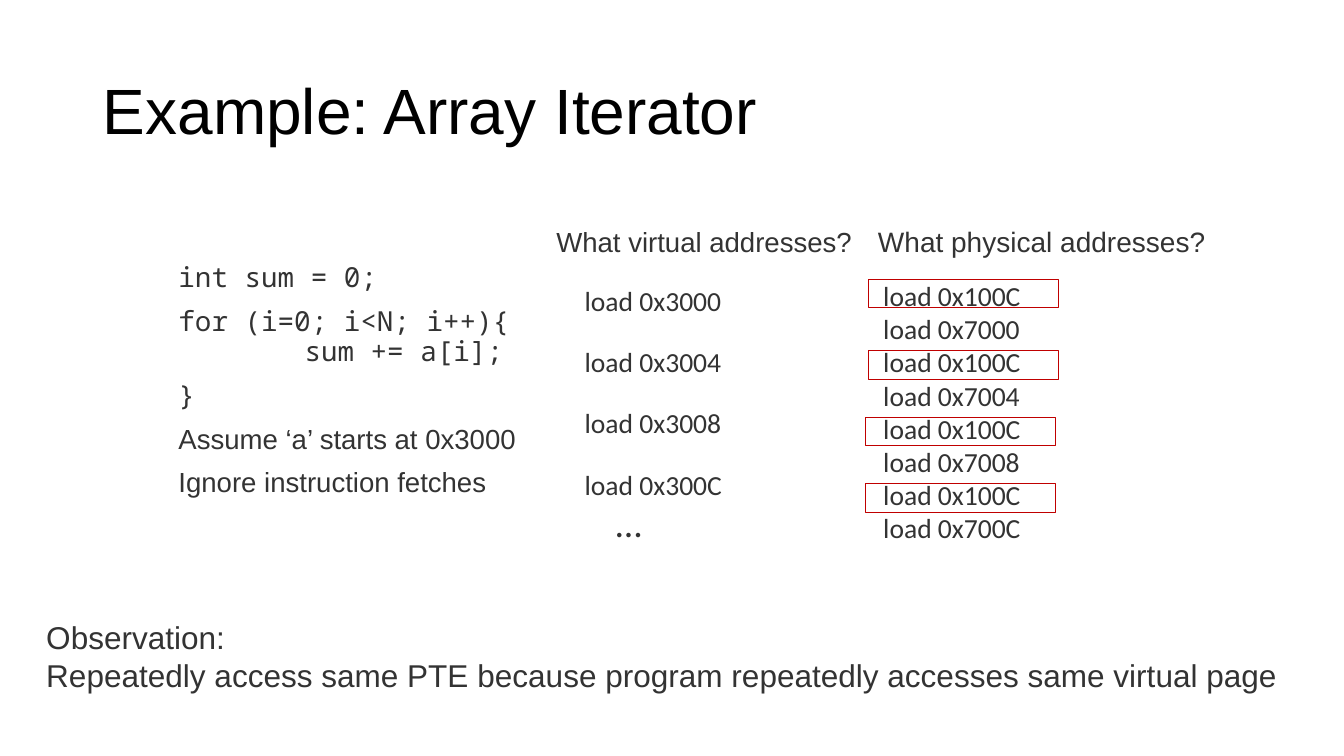
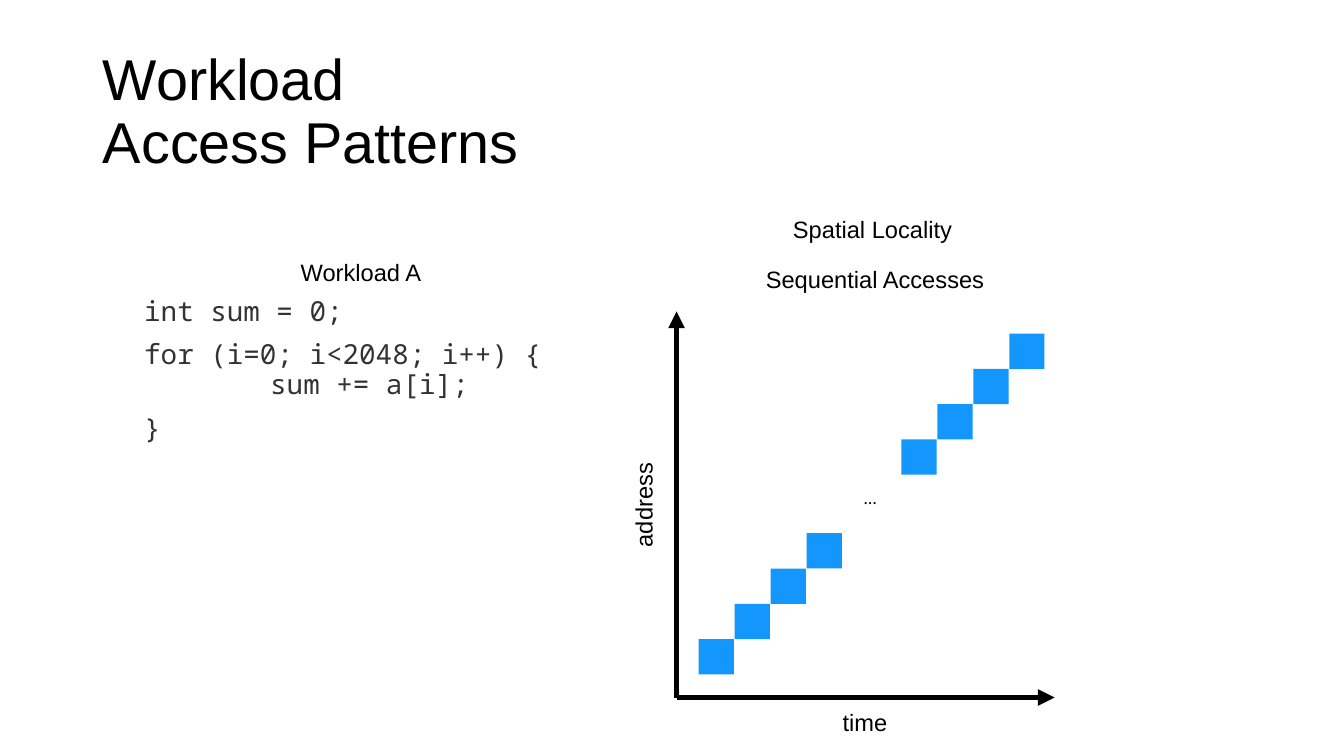
from copy import deepcopy

from lxml import etree
from pptx import Presentation
from pptx import util as u
from pptx.dml.color import RGBColor
from pptx.enum import shapes, text
from pptx.oxml.ns import qn

COLORS = {"title": "000000", "body": "333333", "label": "000000",
          "highlight": "C00000", "access": "1497FC", "axis": "000000"}
SANS, SERIES, MONO = "Arial", "Calibri", "Noto Sans Mono"
TEXT_SIZE, LABEL_SIZE = 19.7, 16.9
PADDING = (0.1, 0.05, 0.1, 0.05)
LABEL_PADDING = (0.04,) * 4
TITLE_BOX = (0.92, 0.4, 11.5, 1.45)


def color(name):
    return RGBColor.from_string(COLORS[name])


def lengths(*values):
    return [u.Inches(value) for value in values]


# Text

def format_runs(paragraph, font, size, fill):
    for run in paragraph.runs:
        run.font.name = font
        run.font.size = u.Pt(size)
        run.font.color.rgb = color(fill)
    # Line breaks take the format of the text around them
    for line_break in paragraph._p.findall(qn("a:br")):
        line_break.insert(0, deepcopy(paragraph.runs[0]._r.rPr))


def write_text(shape, paragraphs, *, font=SANS, size=TEXT_SIZE, fill="body",
               padding=PADDING, anchor=text.MSO_ANCHOR.TOP, wrap=True,
               align=text.PP_ALIGN.LEFT, grow=False, indent=0, spacing=None,
               before=0):
    """paragraphs holds strings or (string, font) pairs."""
    frame = shape.text_frame
    frame.word_wrap = wrap
    frame.vertical_anchor = anchor
    frame.auto_size = (text.MSO_AUTO_SIZE.SHAPE_TO_FIT_TEXT if grow
                       else text.MSO_AUTO_SIZE.NONE)
    (frame.margin_left, frame.margin_top,
     frame.margin_right, frame.margin_bottom) = lengths(*padding)
    for index, item in enumerate(paragraphs):
        words, face = (item, font) if isinstance(item, str) else item
        paragraph = frame.add_paragraph() if index else frame.paragraphs[0]
        paragraph.text = words
        properties = paragraph._p.get_or_add_pPr()
        properties.set("marL", str(u.Inches(indent)))
        properties.set("indent", str(-u.Inches(indent)))
        properties.set("defTabSz", str(u.Inches(1)))
        etree.SubElement(properties, qn("a:buNone"))
        paragraph.alignment = align
        paragraph.space_before = u.Pt(before if index else 0)
        if spacing:
            paragraph.line_spacing = spacing
        format_runs(paragraph, face, size, fill)
    return shape


def add_text(slide, box, paragraphs, **style):
    return write_text(slide.shapes.add_textbox(*lengths(*box)), paragraphs, **style)


def add_label(slide, box, words, **style):
    style = {"size": LABEL_SIZE, "fill": "label", **style}
    return add_text(slide, box, [words], padding=LABEL_PADDING, wrap=False,
                    grow=True, anchor=text.MSO_ANCHOR.MIDDLE,
                    align=text.PP_ALIGN.CENTER, **style)


def place(shape, box):
    shape.left, shape.top, shape.width, shape.height = lengths(*box)
    return shape


# Shapes

def add_box(slide, box, *, fill=None, line=None):
    shape = slide.shapes.add_shape(shapes.MSO_SHAPE.RECTANGLE, *lengths(*box))
    shape.shadow.inherit = False
    if fill:
        shape.fill.solid()
        shape.fill.fore_color.rgb = color(fill)
    else:
        shape.fill.background()
    if line:
        shape.line.color.rgb = color(line)
        shape.line.width = u.Pt(0.5)
    else:
        shape.line.fill.background()


def add_arrow(slide, start, end):
    arrow = slide.shapes.add_connector(
        shapes.MSO_CONNECTOR.STRAIGHT, *lengths(*start, *end))
    arrow.line.color.rgb = color("axis")
    arrow.line.width = u.Pt(4)
    head = etree.SubElement(arrow.line._get_or_add_ln(), qn("a:tailEnd"))
    head.set("type", "triangle")
    etree.SubElement(arrow._element.spPr, qn("a:effectLst"))


# Parts shared by both slides

def add_slide(presentation, title, title_size):
    slide = presentation.slides.add_slide(presentation.slide_layouts[1])
    write_text(place(slide.shapes.title, TITLE_BOX), [title], size=title_size,
               fill="title", spacing=0.9, anchor=text.MSO_ANCHOR.MIDDLE)
    return slide


def code_body(slide, box, limit, notes=(), anchor=text.MSO_ANCHOR.TOP):
    lines = ["int sum = 0;", f"for (i=0; i<{limit}\n\tsum += a[i];", "}"]
    write_text(place(slide.placeholders[1], box),
               lines + [(note, SANS) for note in notes], font=MONO,
               indent=0.25, spacing=0.9, before=10, anchor=anchor)


# Array iterator slide

def virtual_addresses(slide, left, top):
    add_text(slide, (left, top, 3.17, 0.43), ["What virtual addresses?"],
             wrap=False, grow=True)
    loads = [f"load 0x300{digit}" for digit in "048C"]
    loads[-1] += "\n…"
    column = add_text(slide, (left + 0.28, top + 0.59, 2.91, 3.74), loads,
                      font=SERIES, indent=0.31, before=20)
    ellipsis = column.text_frame.paragraphs[-1].runs[-1]
    ellipsis.font.size = u.Pt(26.7)


def physical_addresses(slide, left, top):
    add_text(slide, (left, top, 3.47, 0.44), ["What physical addresses?"],
             size=20, wrap=False, grow=True)
    loads = "\n".join(f"load 0x100C\nload 0x700{digit}" for digit in "048C")
    add_text(slide, (left + 0.15, top + 0.59, 2.91, 3.74), [loads],
             font=SERIES, padding=(0, 0, 0, 0))
    # Frames around the repeated page table accesses
    for x, y in ((0, 0.59), (0, 1.3), (-0.03, 1.96), (-0.03, 2.62)):
        add_box(slide, (left + x, top + y, 1.89, 0.28), line="highlight")


def array_iterator_slide(presentation):
    slide = add_slide(presentation, "Example: Array Iterator", 45.7)
    code_body(slide, (1.67, 1.77, 3.74, 4.03), "N; i++){",
              ("Assume ‘a’ starts at 0x3000", "Ignore instruction fetches"),
              anchor=text.MSO_ANCHOR.MIDDLE)
    virtual_addresses(slide, 5.42, 2.18)
    physical_addresses(slide, 8.61, 2.18)
    add_text(slide, (0.36, 6.08, 12.61, 0.86),
             ["Observation: \nRepeatedly access same PTE because program "
              "repeatedly accesses same virtual page"], size=22.5, grow=True)


# Access patterns slide

def access_run(slide, left, bottom, count=4, side=0.35, run=1.07, rise=1.05):
    for index in range(count):
        share = index / (count - 1)
        add_box(slide, (left + run * share, bottom - side - rise * share,
                        side, side), fill="access")


def access_plot(slide, left, top, width, height):
    bottom = top + height
    add_arrow(slide, (left, bottom), (left + width, bottom))
    add_arrow(slide, (left, bottom), (left, top))
    add_label(slide, (left + 1.47, bottom + 0.06, 0.8, 0.36), "time")
    address = add_label(slide, (left - 0.79, top + 1.74, 0.92, 0.36), "address")
    address.rotation = 270
    add_label(slide, (left + 1.11, top - 1, 1.67, 0.36), "Spatial Locality")
    add_label(slide, (left + 0.84, top - 0.5, 2.26, 0.36), "Sequential Accesses")
    access_run(slide, left + 0.22, bottom - 0.23)
    access_run(slide, left + 2.23, bottom - 2.21)
    add_label(slide, (left + 1.82, top + 1.7, 0.2, 0.29), "…",
              font=SERIES, size=12.7)


def access_patterns_slide(presentation):
    slide = add_slide(presentation, "Workload \nAccess Patterns", 41.1)
    code_body(slide, (1.33, 2.9, 4.16, 1.89), "2048; i++) {")
    add_label(slide, (2.94, 2.52, 1.28, 0.36), "Workload A")
    access_plot(slide, 6.71, 3.09, 3.75, 3.83)


def main():
    presentation = Presentation()
    presentation.slide_width, presentation.slide_height = lengths(13.33, 7.5)
    array_iterator_slide(presentation)
    access_patterns_slide(presentation)
    presentation.save("out.pptx")


if __name__ == "__main__":
    main()
